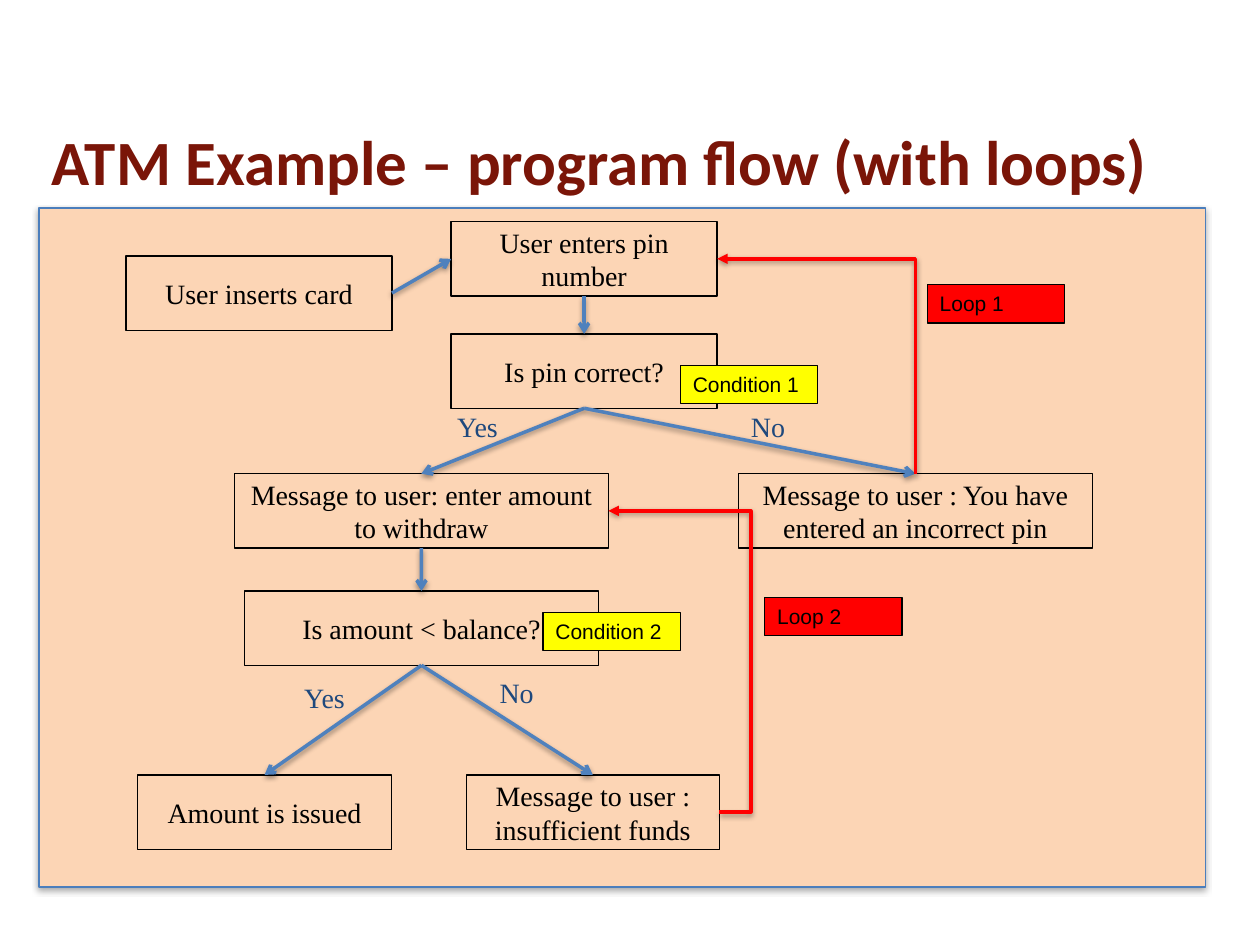
from lxml import etree
from pptx import Presentation
from pptx.dml.color import RGBColor
from pptx.enum.shapes import MSO_CONNECTOR, MSO_SHAPE
from pptx.enum.text import MSO_ANCHOR, PP_ALIGN
from pptx.oxml.ns import qn
from pptx.util import Pt

RECTANGLE = MSO_SHAPE.RECTANGLE
STRAIGHT, ELBOW = MSO_CONNECTOR.STRAIGHT, MSO_CONNECTOR.ELBOW
LEFT, CENTER = PP_ALIGN.LEFT, PP_ALIGN.CENTER
TOP_ANCHOR, MIDDLE = MSO_ANCHOR.TOP, MSO_ANCHOR.MIDDLE
TOP_SITE, BOTTOM_SITE, RIGHT_SITE, LEFT_SITE = 0, 2, 3, 1

BLACK = RGBColor(0x00, 0x00, 0x00)
RED = RGBColor(0xFF, 0x00, 0x00)
YELLOW = RGBColor(0xFF, 0xFF, 0x00)
PEACH = RGBColor(0xFC, 0xD5, 0xB5)
PANEL_LINE = RGBColor(0x4B, 0x7E, 0xBC)
ARROW_BLUE = RGBColor(0x4F, 0x81, 0xBD)
NAVY = RGBColor(0x1F, 0x49, 0x7D)
MAROON = RGBColor(0x7A, 0x15, 0x08)

STEP_HEIGHT, LABEL_HEIGHT = 42.5, 26.6
TAG_WIDTH, TAG_HEIGHT = 78.5, 22

STEPS = {
    "insert": ("User inserts card", 49.7, 27.4, 152),
    "enter": ("User enters pin number", 235.5, 7.9, 152),
    "check": ("Is pin correct?", 235.5, 72, 152),
    "withdraw": ("Message to user: enter amount to withdraw", 111.6, 151.9, 213.8),
    "incorrect": ("Message to user : You have entered an incorrect pin", 399.6, 151.9, 202.3),
    "balance": ("Is amount < balance?", 117.4, 218.9, 202.3),
    "funds": ("Message to user : insufficient funds", 244.1, 324, 144.7),
    "issued": ("Amount is issued", 56.2, 324, 145.4),
}
FLOWS = [
    ("insert", RIGHT_SITE, "enter", LEFT_SITE),
    ("enter", BOTTOM_SITE, "check", TOP_SITE),
    ("check", BOTTOM_SITE, "withdraw", TOP_SITE),
    ("check", BOTTOM_SITE, "incorrect", TOP_SITE),
    ("withdraw", BOTTOM_SITE, "balance", TOP_SITE),
    ("balance", BOTTOM_SITE, "issued", TOP_SITE),
    ("balance", BOTTOM_SITE, "funds", TOP_SITE),
]
ANSWERS = [
    ("No", 395.3, 111.6, 42.5),
    ("Yes", 225.4, 111.6, 50.4),
    ("No", 250.6, 263.5, 44.6),
    ("Yes", 138.3, 266.4, 49.7),
]
TAGS = [
    ("Condition 1", 366.5, 90, YELLOW),
    ("Condition 2", 288, 231.1, YELLOW),
    ("Loop 1", 507.6, 43.9, RED),
    ("Loop 2", 414.7, 222.5, RED),
]


def write_text(shape, text, size, font_name, color, alignment, anchor):
    """Write one formatted run into a shape."""
    frame = shape.text_frame
    frame.word_wrap = True
    frame.vertical_anchor = anchor
    paragraph = frame.paragraphs[0]
    paragraph.alignment = alignment
    run = paragraph.add_run()
    run.text = text
    run.font.size = Pt(size)
    run.font.name = font_name
    run.font.color.rgb = color
    return run


def add_shadow(shape, distance, opacity):
    """Give a shape or connector a soft shadow falling downwards."""
    effects = etree.SubElement(shape._element.spPr, qn("a:effectLst"))
    shadow = etree.SubElement(effects, qn("a:outerShdw"), blurRad=str(Pt(3.1)),
                              dist=str(Pt(distance)), dir="5400000", rotWithShape="0")
    color = etree.SubElement(shadow, qn("a:srgbClr"), val=str(BLACK))
    etree.SubElement(color, qn("a:alpha"), val=str(opacity * 1000))


def add_box(slide, left, top, width, height, fill=None, line=BLACK):
    """Add a thinly outlined rectangle, filled or clear."""
    shape = slide.shapes.add_shape(RECTANGLE, Pt(left), Pt(top), Pt(width), Pt(height))
    if fill is None:
        shape.fill.background()
    else:
        shape.fill.solid()
        shape.fill.fore_color.rgb = fill
    shape.line.color.rgb = line
    shape.line.width = Pt(0.75)
    return shape


def style_arrow(connector, color, head):
    """Set the line, arrowhead and shadow of a connector."""
    connector.line.color.rgb = color
    connector.line.width = Pt(2)
    etree.SubElement(connector.line._get_or_add_ln(), qn("a:tailEnd"), type=head)
    add_shadow(connector, 1.6, 38)


def add_flow(slide, source, source_site, target, target_site):
    """Join two steps with a straight arrow."""
    connector = slide.shapes.add_connector(STRAIGHT, 0, 0, 0, 0)
    connector.begin_connect(source, source_site)
    connector.end_connect(target, target_site)
    style_arrow(connector, ARROW_BLUE, "arrow")


def add_loop(slide, start_x, start_y, target, bend):
    """Draw a red elbow arrow back to the right side of a step."""
    connector = slide.shapes.add_connector(
        ELBOW, start_x, start_y,
        target.left + target.width, target.top + target.height // 2)
    adjustments = connector._element.spPr.find(qn("a:prstGeom")).find(qn("a:avLst"))
    etree.SubElement(adjustments, qn("a:gd"), name="adj1", fmla=f"val {bend}")
    style_arrow(connector, RED, "triangle")


def add_title(slide, left, top, width, height):
    """Place and format the slide title."""
    title = slide.shapes.title
    title.left, title.top = Pt(left), Pt(top)
    title.width, title.height = Pt(width), Pt(height)
    run = write_text(title, "ATM Example – program flow (with loops)", 36,
                     "Calibri", MAROON, LEFT, MIDDLE)
    run.font.bold = True


def add_flowchart(slide, left, top, width, height):
    """Draw the panel with its steps, arrows, answers, tags and loops."""
    panel = add_box(slide, left, top, width, height, PEACH, PANEL_LINE)
    add_shadow(panel, 1.8, 35)

    steps = {}
    for name, (text, x, y, step_width) in STEPS.items():
        step = add_box(slide, left + x, top + y, step_width, STEP_HEIGHT)
        step.shadow.inherit = False
        write_text(step, text, 16, "Times New Roman", BLACK, CENTER, MIDDLE)
        steps[name] = step

    for source, source_site, target, target_site in FLOWS:
        add_flow(slide, steps[source], source_site, steps[target], target_site)

    for text, x, y, label_width in ANSWERS:
        label = slide.shapes.add_textbox(Pt(left + x), Pt(top + y),
                                         Pt(label_width), Pt(LABEL_HEIGHT))
        write_text(label, text, 16, "Times New Roman", NAVY, CENTER, TOP_ANCHOR)

    incorrect, funds = steps["incorrect"], steps["funds"]
    add_loop(slide, incorrect.left + incorrect.width // 2, incorrect.top,
             steps["enter"], 0)
    add_loop(slide, funds.left + funds.width, funds.top + funds.height // 2,
             steps["withdraw"], -28300)

    for text, x, y, fill in TAGS:
        tag = add_box(slide, left + x, top + y, TAG_WIDTH, TAG_HEIGHT, fill)
        tag.shadow.inherit = False
        write_text(tag, text, 12, "Arial", BLACK, LEFT, TOP_ANCHOR)


def main():
    """Build and save the presentation."""
    presentation = Presentation()
    presentation.slide_width, presentation.slide_height = Pt(720), Pt(540)
    slide = presentation.slides.add_slide(presentation.slide_layouts[5])
    add_flowchart(slide, 22.3, 118.8, 666.7, 388.1)
    add_title(slide, 22.3, 59.8, 660.2, 64.1)
    presentation.save("out.pptx")


if __name__ == "__main__":
    main()
